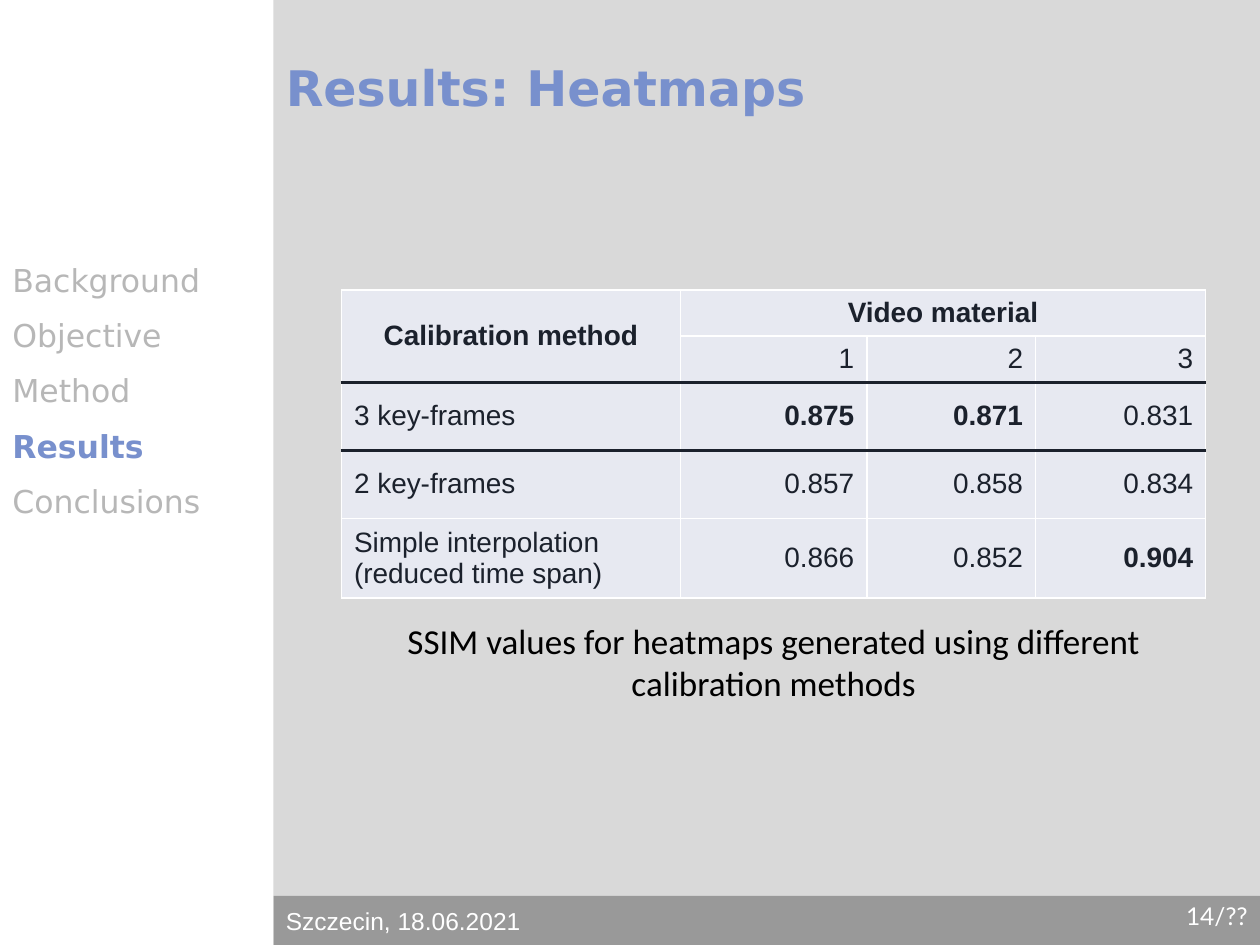
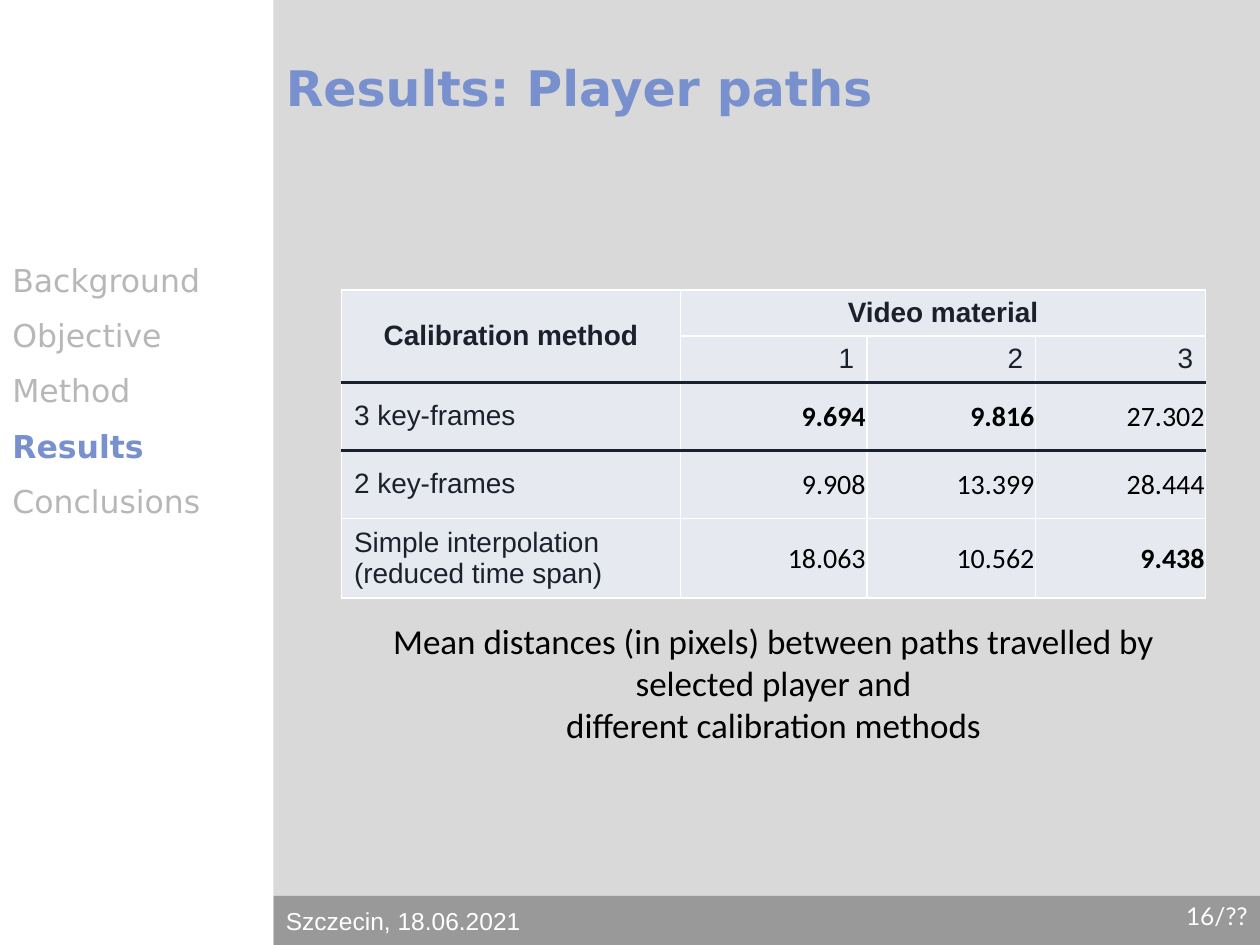
from dataclasses import dataclass, field
from typing import Callable

from lxml.etree import SubElement
from pptx import Presentation
from pptx.dml.color import RGBColor
from pptx.enum.shapes import MSO_SHAPE as Preset
from pptx.enum.text import MSO_ANCHOR as Anchor, PP_ALIGN as Align
from pptx.oxml.ns import qn
from pptx.util import Inches, Pt


@dataclass(frozen=True)
class Theme:
    canvas: str = "D9D9D9"
    band: str = "999999"
    white: str = "FFFFFF"
    accent: str = "7890CD"
    muted: str = "B7B7B7"
    ink: str = "1B212C"
    black: str = "000000"
    cell: str = "E7E9F1"
    heading_font: str = "DejaVu Sans"
    table_font: str = "Arial"
    caption_font: str = "Calibri"
    page_font: str = "Lato"
    title_size: int = 28
    caption_size: int = 20
    nav_size: int = 18
    table_size: int = 16
    footer_size: int = 14


THEME = Theme()


@dataclass(frozen=True)
class TextStyle:
    font: str
    size: int
    color: str
    bold: bool = False
    align: Align = Align.LEFT


@dataclass(frozen=True)
class Box:
    left: float
    top: float
    width: float
    height: float

    def lengths(self) -> tuple:
        return tuple(Inches(v) for v in (self.left, self.top, self.width, self.height))


TITLE = TextStyle(THEME.heading_font, THEME.title_size, THEME.accent, True)
FOOTER = TextStyle(THEME.table_font, THEME.footer_size, THEME.white)
PAGE = TextStyle(THEME.page_font, THEME.footer_size, THEME.white, align=Align.RIGHT)
CAPTION = TextStyle(THEME.caption_font, THEME.caption_size, THEME.black, align=Align.CENTER)
NAV = TextStyle(THEME.heading_font, THEME.nav_size, THEME.muted)
NAV_CURRENT = TextStyle(THEME.heading_font, THEME.nav_size, THEME.accent, True)
HEADER = TextStyle(THEME.table_font, THEME.table_size, THEME.ink, True, Align.CENTER)
METHOD = TextStyle(THEME.table_font, THEME.table_size, THEME.ink)

SIDEBAR = 2.17
FOOTER_TOP = 7.11
SECTIONS = ("Background", "Objective", "Method", "Results", "Conclusions")
CURRENT_SECTION = "Results"
METHODS = ("3 key-frames", "2 key-frames", "Simple interpolation (reduced time span)")
TABLE_BOX = Box(2.71, 2.3, 6.86, 2.45)
COLUMN_WIDTHS = (2.69, 1.48, 1.34, 1.35)
ROW_HEIGHTS = (0.26, 0.33, 0.54, 0.54, 0.54)
HEADER_ROWS = 2
DARK_RULES = {2: 2.25, 3: 2}  # number of rows above the rule: width in points


@dataclass(frozen=True)
class ResultSlide:
    title: str
    page: str
    values: tuple[tuple[float, ...], ...]
    best: Callable
    caption: tuple[str, ...]
    caption_box: Box
    value_font: str = THEME.table_font
    value_color: str = THEME.ink
    value_margins: dict = field(default_factory=dict)


RESULTS = (
    ResultSlide(
        "Results: Heatmaps", "14/??",
        ((0.875, 0.871, 0.831), (0.857, 0.858, 0.834), (0.866, 0.852, 0.904)),
        max,
        ("SSIM values for heatmaps generated using different calibration methods",),
        Box(3.08, 4.87, 6.12, 0.77),
    ),
    ResultSlide(
        "Results: Player paths", "16/??",
        ((9.694, 9.816, 27.302), (9.908, 13.399, 28.444), (18.063, 10.562, 9.438)),
        min,
        ("Mean distances (in pixels) between paths travelled by selected player and",
         "different calibration methods"),
        Box(2.71, 4.87, 6.86, 1.11),
        THEME.caption_font, THEME.black,
        {"margin_left": 0.01, "margin_right": 0.01, "margin_top": 0.01, "margin_bottom": 0},
    ),
)


def set_margins(holder, margins: dict) -> None:
    for side, inches in margins.items():
        setattr(holder, side, Inches(inches))


def write(paragraph, text: str, style: TextStyle) -> None:
    paragraph.alignment = style.align
    run = paragraph.add_run()
    run.text = text
    formats = {"name": style.font, "size": Pt(style.size), "bold": style.bold}
    for name, value in formats.items():
        setattr(run.font, name, value)
    run.font.color.rgb = RGBColor.from_string(style.color)


def add_text(slide, box: Box, lines: list[tuple[str, TextStyle]], anchor=Anchor.MIDDLE,
             space_before: float = 0, inset: float = 0.1) -> None:
    frame = slide.shapes.add_textbox(*box.lengths()).text_frame
    frame.word_wrap = True
    frame.vertical_anchor = anchor
    set_margins(frame, {"margin_left": 0.1, "margin_right": 0.1,
                        "margin_top": inset, "margin_bottom": inset})
    for index, (text, style) in enumerate(lines):
        paragraph = frame.add_paragraph() if index else frame.paragraphs[0]
        if index and space_before:
            paragraph.space_before = Pt(space_before)
        write(paragraph, text, style)


def add_panel(slide, box: Box, color: str) -> None:
    panel = slide.shapes.add_shape(Preset.RECTANGLE, *box.lengths())
    panel.shadow.inherit = False
    panel.fill.solid()
    panel.fill.fore_color.rgb = RGBColor.from_string(color)
    panel.line.fill.background()


def add_frame(slide, result: ResultSlide) -> None:
    """Draw the background, sidebar, footer, title and section list."""
    slide.background.fill.solid()
    slide.background.fill.fore_color.rgb = RGBColor.from_string(THEME.canvas)
    main_width = 10 - SIDEBAR
    add_panel(slide, Box(SIDEBAR, FOOTER_TOP, main_width, 0.39), THEME.band)
    add_panel(slide, Box(0, 0, SIDEBAR, 7.5), THEME.white)
    add_text(slide, Box(SIDEBAR, FOOTER_TOP, 2.93, 0.39), [("Szczecin, 18.06.2021", FOOTER)])
    add_text(slide, Box(SIDEBAR, 0, main_width, 1.38), [(result.title, TITLE)])
    add_text(slide, Box(8.95, 6.98, 1.05, 0.57), [(result.page, PAGE)])
    sections = [(name, NAV_CURRENT if name == CURRENT_SECTION else NAV) for name in SECTIONS]
    add_text(slide, Box(0, 1.97, SIDEBAR, 3.9), sections, Anchor.TOP, space_before=10)


def rule_format(rows_above: int) -> tuple[str, float]:
    if rows_above in DARK_RULES:
        return THEME.ink, DARK_RULES[rows_above]
    return THEME.white, 1


def style_cell(cell, row: int) -> None:
    cell.vertical_anchor = Anchor.MIDDLE
    cell.fill.solid()
    cell.fill.fore_color.rgb = RGBColor.from_string(THEME.cell)
    borders = {"a:lnL": (THEME.white, 1), "a:lnR": (THEME.white, 1),
               "a:lnT": rule_format(row), "a:lnB": rule_format(row + cell.span_height)}
    properties = cell._tc.get_or_add_tcPr()
    for position, (tag, (color, points)) in enumerate(borders.items()):
        line = SubElement(properties, qn(tag), w=str(Pt(points)))
        SubElement(SubElement(line, qn("a:solidFill")), qn("a:srgbClr"), val=color)
        properties.insert(position, line)


def add_results_table(slide, result: ResultSlide) -> None:
    graphic = slide.shapes.add_table(len(ROW_HEIGHTS), len(COLUMN_WIDTHS), *TABLE_BOX.lengths())
    table = graphic.table
    table.first_row = table.horz_banding = False
    for column, width in zip(table.columns, COLUMN_WIDTHS):
        column.width = Inches(width)
    for row, height in zip(table.rows, ROW_HEIGHTS):
        row.height = Inches(height)
    graphic.height = Inches(TABLE_BOX.height)

    table.cell(0, 0).merge(table.cell(1, 0))
    table.cell(0, 1).merge(table.cell(0, 3))
    for row_index, row in enumerate(table.rows):
        for cell in row.cells:
            style_cell(cell, row_index)

    def fill_cell(row: int, column: int, text: str, style: TextStyle) -> None:
        write(table.cell(row, column).text_frame.paragraphs[0], text, style)

    fill_cell(0, 0, "Calibration method", HEADER)
    fill_cell(0, 1, "Video material", HEADER)
    for row, method in enumerate(METHODS, HEADER_ROWS):
        fill_cell(row, 0, method, METHOD)
    video_style = TextStyle(THEME.table_font, THEME.table_size, THEME.ink, align=Align.RIGHT)
    for column, video_values in enumerate(zip(*result.values), 1):
        fill_cell(1, column, str(column), video_style)
        best = result.best(video_values)
        for row, value in enumerate(video_values, HEADER_ROWS):
            set_margins(table.cell(row, column), result.value_margins)
            fill_cell(row, column, f"{value:.3f}",
                      TextStyle(result.value_font, THEME.table_size, result.value_color,
                                value == best, Align.RIGHT))


def main() -> None:
    deck = Presentation()
    deck.slide_width, deck.slide_height = Inches(10), Inches(7.5)
    for result in RESULTS:
        slide = deck.slides.add_slide(deck.slide_layouts[6])
        add_frame(slide, result)
        add_results_table(slide, result)
        add_text(slide, result.caption_box, [(line, CAPTION) for line in result.caption],
                 Anchor.TOP, inset=0.05)
    deck.save("out.pptx")


if __name__ == "__main__":
    main()
